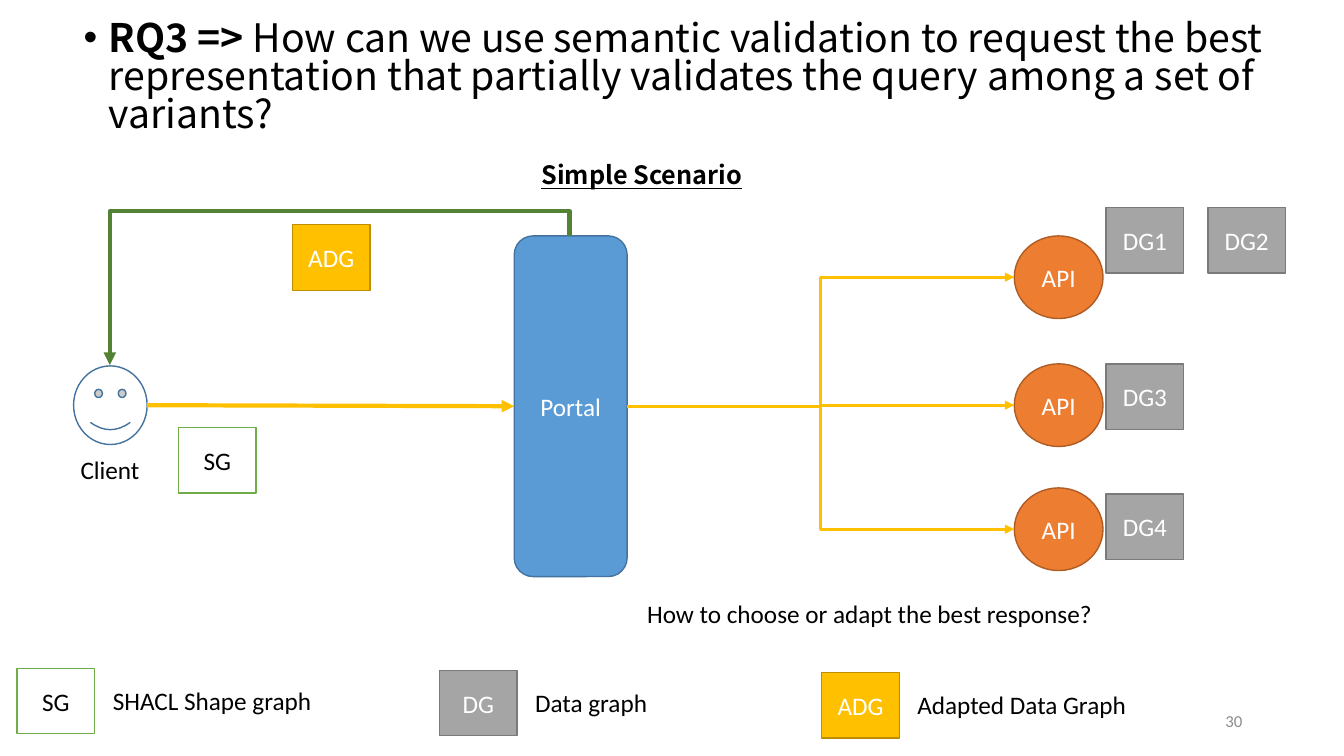
"""Build the RQ3 slide: a client, a portal and three APIs exchanging graphs."""
from dataclasses import dataclass

import pptx
import pptx.dml.color
import pptx.enum.shapes
import pptx.enum.text
import pptx.oxml
import pptx.oxml.ns
import pptx.util

Inches = pptx.util.Inches
Pt = pptx.util.Pt
SHAPE = pptx.enum.shapes.MSO_SHAPE
LINK = pptx.enum.shapes.MSO_CONNECTOR
ALIGN = pptx.enum.text.PP_ALIGN
ANCHOR = pptx.enum.text.MSO_ANCHOR
FIT = pptx.enum.text.MSO_AUTO_SIZE
HEADING_FONT = "Noto Sans CJK JP"
YELLOW, GREEN, BLACK, WHITE = "FFC000", "548235", "000000", "FFFFFF"
TAG_W, TAG_H = 0.77, 0.65
API_X, API_W, API_H = 10.06, 0.88, 0.82
PORTAL_RIGHT, PORTAL_MID = 6.22, 4.03


@dataclass(frozen=True)
class Style:
    fill: str
    line: str
    text: str = WHITE


@dataclass(frozen=True)
class Tag:
    text: str
    x: float
    y: float
    style: Style
    legend: str = ""
    legend_w: float = 0


@dataclass(frozen=True)
class Label:
    text: str
    x: float
    y: float
    w: float


SHAPES_GRAPH = Style(WHITE, "70AD47", BLACK)
DATA_GRAPH = Style("A5A5A5", "7A7A7A")
ADAPTED_GRAPH = Style(YELLOW, "BD8E00")
PORTAL = Style("5B9BD5", "43739E")
API = Style("ED7D31", "AF5C24")
CLIENT = Style(WHITE, "43739E")

TAGS = [
    Tag("SG", 1.77, 4.24, SHAPES_GRAPH),
    Tag("ADG", 2.9, 2.23, ADAPTED_GRAPH),
    Tag("DG1", 10.97, 2.06, DATA_GRAPH),
    Tag("DG2", 11.98, 2.06, DATA_GRAPH),
    Tag("DG3", 10.97, 3.61, DATA_GRAPH),
    Tag("DG4", 10.97, 4.9, DATA_GRAPH),
    Tag("SG", 0.17, 6.63, SHAPES_GRAPH, "SHACL Shape graph", 2.25),
    Tag("DG", 4.36, 6.65, DATA_GRAPH, "Data graph", 1.33),
    Tag("ADG", 8.15, 6.67, ADAPTED_GRAPH, "Adapted Data Graph", 2.3),
]
LABELS = [
    Label("Client", 0.7, 4.46, 0.79),
    Label("How to choose or adapt the best response?", 6.32, 5.89, 4.67),
]
API_TOPS = [2.34, 3.61, 4.84]


def rgb(value: str) -> pptx.dml.color.RGBColor:
    """Turn a hex string into a colour."""
    return pptx.dml.color.RGBColor.from_string(value)


def write(tf, text: str, size: float = 18, font: str = "Calibri", color: str = BLACK,
          bold: bool = False, underline: bool = False, align=ALIGN.LEFT,
          anchor=ANCHOR.TOP) -> None:
    """Append a formatted run to the first paragraph of a text frame."""
    tf.vertical_anchor = anchor
    p = tf.paragraphs[0]
    p.alignment = align
    r = p.add_run()
    r.text = text
    r.font.size, r.font.name = Pt(size), font
    r.font.bold, r.font.underline = bold, underline
    r.font.color.rgb = rgb(color)


def place(sp, x: float, y: float, w: float, h: float) -> None:
    """Move and size a shape."""
    sp.left, sp.top, sp.width, sp.height = (Inches(v) for v in (x, y, w, h))


def add_box(s, kind, x: float, y: float, w: float, h: float, style: Style, text: str = ""):
    """Add a filled, outlined shape with an optional centred caption."""
    sp = s.shapes.add_shape(kind, Inches(x), Inches(y), Inches(w), Inches(h))
    sp.shadow.inherit = False
    sp.fill.solid()
    sp.fill.fore_color.rgb = rgb(style.fill)
    sp.line.color.rgb = rgb(style.line)
    sp.line.width = Pt(1)
    if text:
        write(sp.text_frame, text, color=style.text, align=ALIGN.CENTER, anchor=ANCHOR.MIDDLE)
    return sp


def add_label(s, label: Label) -> None:
    """Add a one-line text box that fits its text."""
    sp = s.shapes.add_textbox(Inches(label.x), Inches(label.y), Inches(label.w), Inches(0.4))
    sp.text_frame.word_wrap = False
    sp.text_frame.auto_size = FIT.SHAPE_TO_FIT_TEXT
    write(sp.text_frame, label.text)


def add_arrow(s, kind, x1: float, y1: float, x2: float, y2: float, color: str, width: float):
    """Add a connector with a triangular head at its end."""
    c = s.shapes.add_connector(kind, Inches(x1), Inches(y1), Inches(x2), Inches(y2))
    c.line.color.rgb = rgb(color)
    c.line.width = Pt(width)
    head = pptx.oxml.parse_xml(f'<a:tailEnd {pptx.oxml.ns.nsdecls("a")} type="triangle"/>')
    c.line._get_or_add_ln().append(head)
    c._element.spPr.append(pptx.oxml.parse_xml(f'<a:effectLst {pptx.oxml.ns.nsdecls("a")}/>'))
    return c


def add_return_arrow(s) -> None:
    """Draw the route from the top of the portal over to the top of the client."""
    c = add_arrow(s, LINK.ELBOW, 4.01, 5.26, 2.73, 0.7, GREEN, 3)
    sp_pr = c._element.spPr
    sp_pr.find(pptx.oxml.ns.qn("a:xfrm")).set("rot", "16200000")
    geom = sp_pr.find(pptx.oxml.ns.qn("a:prstGeom"))
    for old in list(geom):
        geom.remove(old)
    geom.append(pptx.oxml.parse_xml(
        f'<a:avLst {pptx.oxml.ns.nsdecls("a")}><a:gd name="adj1" fmla="val -19300"/></a:avLst>'))


def fill_placeholders(s) -> None:
    """Write the scenario heading and the research question."""
    title, body = s.shapes.title, s.placeholders[1]
    place(title, 5.27, 1.53, 2.19, 0.4)
    title.text_frame.word_wrap = False
    title.text_frame.auto_size = FIT.NONE
    write(title.text_frame, "Simple Scenario", font=HEADING_FONT, bold=True, underline=True)

    place(body, 0.73, 0.17, 12.39, 1.31)
    tf = body.text_frame
    tf.auto_size = FIT.TEXT_TO_FIT_SHAPE
    write(tf, "RQ3 => ", size=28, font=HEADING_FONT, bold=True)
    write(tf, "How can we use semantic validation to request the best representation that "
              "partially validates the query among a set of variants?", size=28, font=HEADING_FONT)
    p = tf.paragraphs[0]
    p.line_spacing, p.space_before = 0.9, Pt(10)
    p_pr = p._p.get_or_add_pPr()
    p_pr.set("marL", str(Inches(0.25)))
    p_pr.set("indent", str(Inches(-0.25)))
    for tag in ('buFont typeface="Arial"', 'buChar char="•"'):
        p_pr.append(pptx.oxml.parse_xml(f'<a:{tag} {pptx.oxml.ns.nsdecls("a")}/>'))


def main() -> None:
    """Build and save the slide."""
    prs = pptx.Presentation()
    prs.slide_width, prs.slide_height = Inches(13.33), Inches(7.5)
    s = prs.slides.add_slide(prs.slide_layouts[1])
    fill_placeholders(s)

    portal = add_box(s, SHAPE.ROUNDED_RECTANGLE, 5.1, 2.34, 1.12, 3.38, PORTAL, "Portal")
    add_box(s, SHAPE.SMILEY_FACE, 0.73, 3.63, 0.73, 0.78, CLIENT)
    request = add_arrow(s, LINK.STRAIGHT, 1.46, 4.02, 5.1, PORTAL_MID, YELLOW, 3)
    request.end_connect(portal, 1)
    for top in API_TOPS:
        add_box(s, SHAPE.OVAL, API_X, top, API_W, API_H, API, "API")
        call = add_arrow(s, LINK.ELBOW, PORTAL_RIGHT, PORTAL_MID, API_X, top + API_H / 2,
                         YELLOW, 2.25)
        call.begin_connect(portal, 3)
    add_return_arrow(s)

    for tag in TAGS:
        add_box(s, SHAPE.RECTANGLE, tag.x, tag.y, TAG_W, TAG_H, tag.style, tag.text)
        if tag.legend:
            add_label(s, Label(tag.legend, tag.x + 0.85, tag.y + 0.12, tag.legend_w))
    for label in LABELS:
        add_label(s, label)

    number = s.shapes.add_textbox(Inches(9.42), Inches(6.95), Inches(3), Inches(0.4))
    number.text_frame.word_wrap = True
    write(number.text_frame, "30", size=12, color="8C8C8C", align=ALIGN.RIGHT,
          anchor=ANCHOR.MIDDLE)
    prs.save("out.pptx")


if __name__ == "__main__":
    main()
